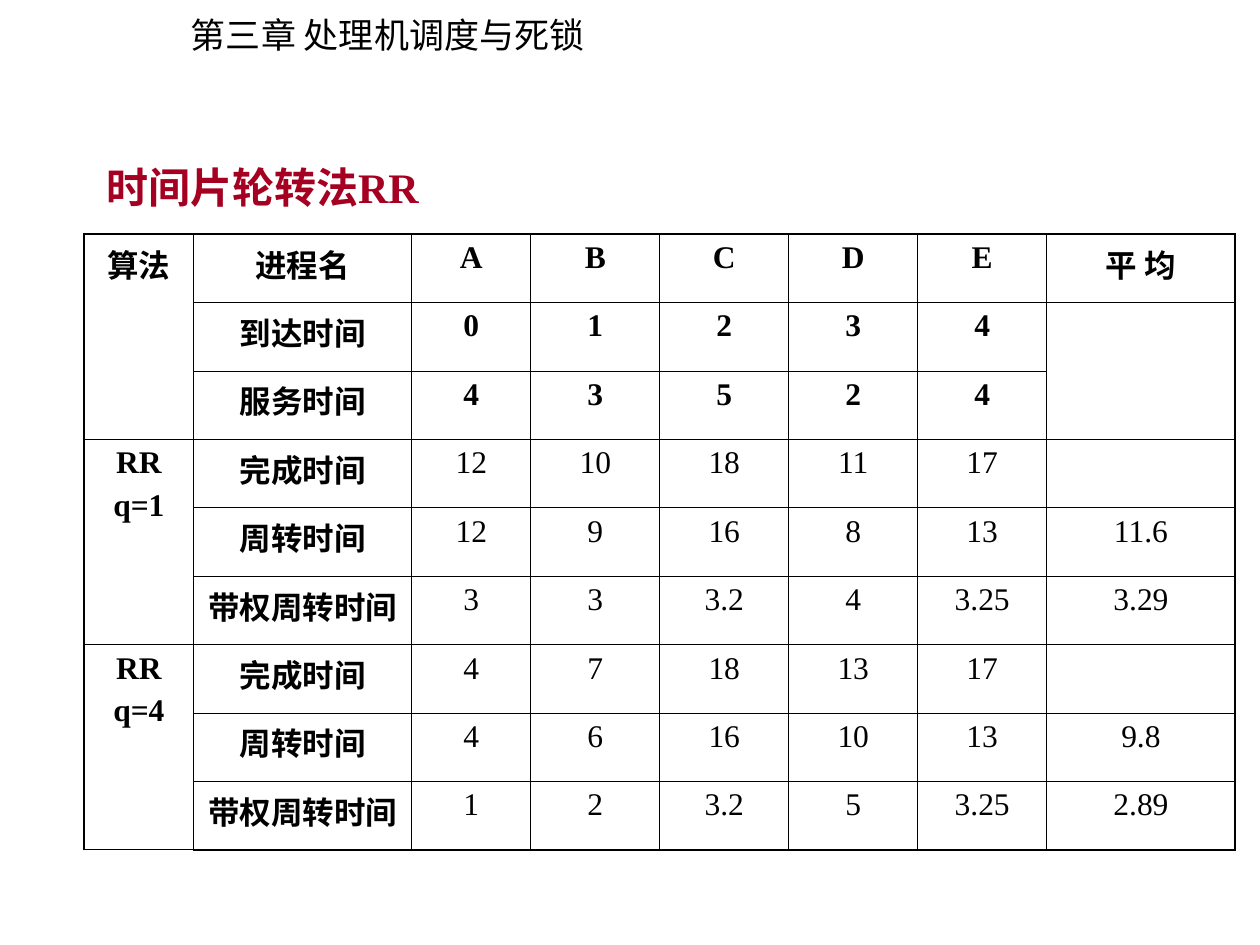
from pptx import Presentation, util as u
from pptx.dml.color import RGBColor
from pptx.enum import text
from pptx.oxml import parse_xml
from pptx.oxml.ns import nsdecls


def style(paragraph, size, color, bold=False, face="Times New Roman", align=text.PP_ALIGN.LEFT):
    paragraph.alignment = align
    font = paragraph.font
    font.name = face
    font.size = u.Pt(size)
    font.bold = bold
    font.color.rgb = RGBColor.from_string(color)


def add_border(cell, side, points):
    cell._tc.get_or_add_tcPr().append(parse_xml(
        f'<a:{side} {nsdecls("a")} w="{u.Pt(points)}"><a:solidFill>'
        f'<a:srgbClr val="000000"/></a:solidFill></a:{side}>'))


prs = Presentation()
prs.slide_width = u.Cm(25.4)
prs.slide_height = u.Cm(19.05)
slide = prs.slides.add_slide(prs.slide_layouts[5])

chapter = slide.shapes.add_textbox(u.Cm(3.6), u.Cm(0.15), u.Cm(8.6), u.Cm(1.1)).text_frame
chapter.word_wrap = False
chapter.text = "第三章 处理机调度与死锁"
style(chapter.paragraphs[0], 20, "000000", face="Noto Sans CJK JP")

heading = slide.shapes.title
heading.left, heading.top = u.Cm(1.5), u.Cm(3.12)
heading.width, heading.height = u.Cm(20.2), u.Cm(1.28)
heading.text_frame.text = "时间片轮转法RR"
heading.text_frame.margin_left = u.Cm(0.64)
heading.text_frame.auto_size = text.MSO_AUTO_SIZE.NONE
heading.text_frame.vertical_anchor = text.MSO_ANCHOR.TOP
style(heading.text_frame.paragraphs[0], 24, "A50021", bold=True)

schedule = [
    ["算法", "进程名", "A", "B", "C", "D", "E", "平 均"],
    ["", "到达时间", "0", "1", "2", "3", "4", ""],
    ["", "服务时间", "4", "3", "5", "2", "4", ""],
    ["RR\nq=1", "完成时间", "12", "10", "18", "11", "17", ""],
    ["", "周转时间", "12", "9", "16", "8", "13", "11.6"],
    ["", "带权周转时间", "3", "3", "3.2", "4", "3.25", "3.29"],
    ["RR\nq=4", "完成时间", "4", "7", "18", "13", "17", ""],
    ["", "周转时间", "4", "6", "16", "10", "13", "9.8"],
    ["", "带权周转时间", "1", "2", "3.2", "5", "3.25", "2.89"],
]
widths = [2.2, 4.4, 2.4, 2.6, 2.6, 2.6, 2.6, 3.8]
row_height = 1.38
last_row, last_col = len(schedule) - 1, len(widths) - 1
thin, thick = 0.45, 1.08

table = slide.shapes.add_table(
    len(schedule), len(widths), u.Cm(1.7), u.Cm(4.72),
    u.Cm(sum(widths)), u.Cm(row_height * len(schedule))).table
for column, width in zip(table.columns, widths):
    column.width = u.Cm(width)

for r, entries in enumerate(schedule):
    table.rows[r].height = u.Cm(row_height)
    for c, entry in enumerate(entries):
        cell = table.cell(r, c)
        cell.text = entry
        for i, paragraph in enumerate(cell.text_frame.paragraphs):
            if i:
                paragraph.space_before = u.Pt(4.5)
            style(paragraph, 18, "000000", bold=r < 3 or c < 2, align=text.PP_ALIGN.CENTER)
        outer = {"lnL": c == 0, "lnR": c == last_col, "lnT": r == 0, "lnB": r == last_row}
        for side, on_edge in outer.items():
            add_border(cell, side, thick if on_edge else thin)
        cell.fill.background()

for first_row in (0, 3, 6):
    table.cell(first_row, 0).merge(table.cell(first_row + 2, 0))
table.cell(1, last_col).merge(table.cell(2, last_col))

prs.save("out.pptx")
